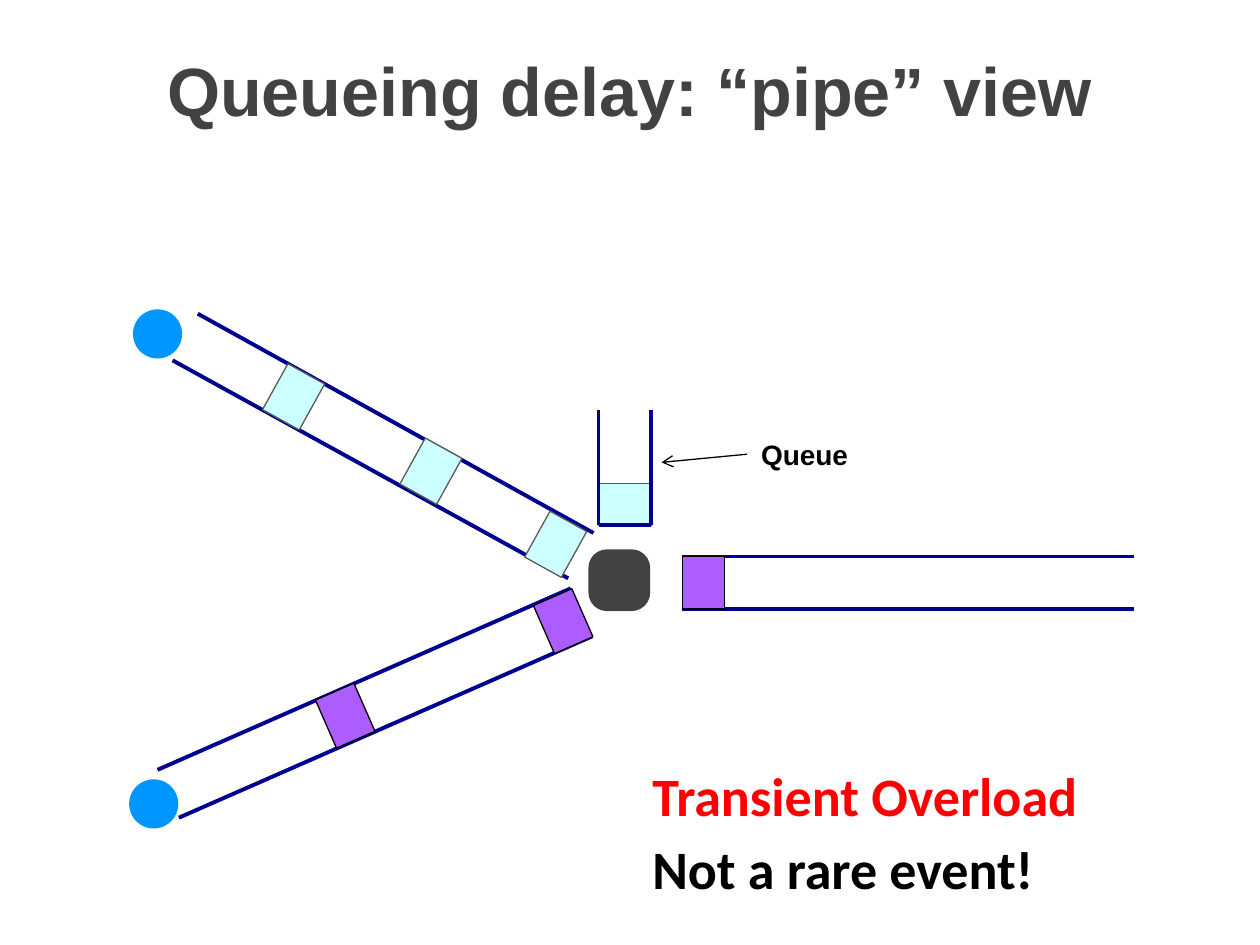
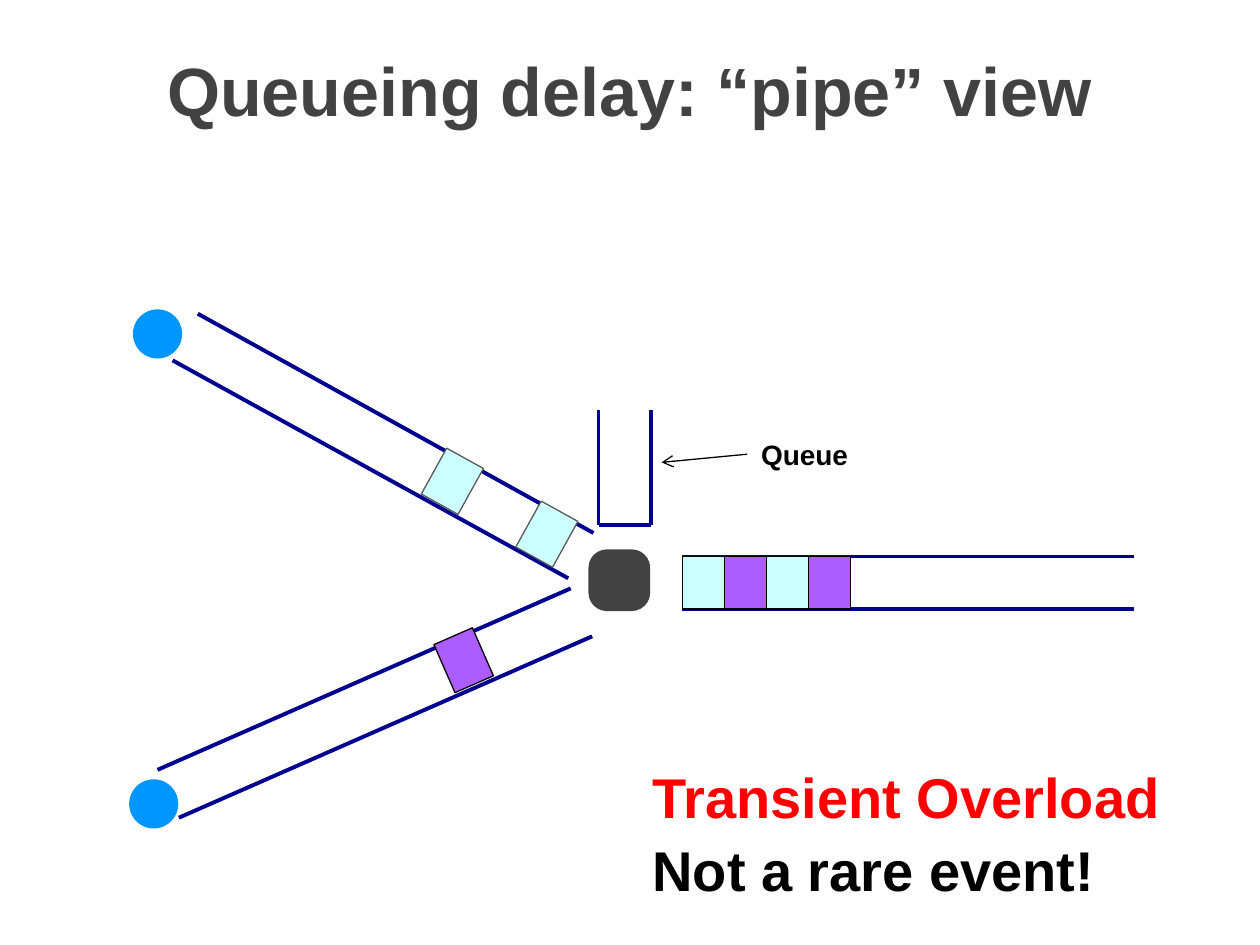
import math

import pptx
import pptx.dml.color
import pptx.enum.shapes
import pptx.enum.text
import pptx.oxml.ns
import pptx.util
from lxml import etree

RGBColor = pptx.dml.color.RGBColor
SHAPES = pptx.enum.shapes.MSO_SHAPE
ALIGN = pptx.enum.text.PP_ALIGN
inch, pt = pptx.util.Inches, pptx.util.Pt

NAVY = RGBColor(0x00, 0x00, 0x90)
BLUE = RGBColor(0x00, 0x96, 0xFF)
CYAN = RGBColor(0xCC, 0xFF, 0xFF)
PURPLE = RGBColor(0xAD, 0x5C, 0xFF)
CHARCOAL = RGBColor(0x42, 0x42, 0x42)
GREY = RGBColor(0x59, 0x59, 0x59)
BLACK = RGBColor(0, 0, 0)
RED = RGBColor(0xFF, 0, 0)

# Content: packet centres on each pipe, in inches
TITLE = "Queueing delay: “pipe” view"
MESSAGES = [("Transient Overload", RED), ("Not a rare event!", BLACK)]
SLIDES = [
    {"upper": [(4.41, 4.32), (3.42, 3.74), (2.33, 3.15)],
     "lower": [(2.74, 5.68), (4.47, 4.93)],
     "queued": 1, "sent": [PURPLE], "font": "Calibri", "size": 30.9},
    {"upper": [(4.34, 4.24), (3.59, 3.82)],
     "lower": [(3.68, 5.24)],
     "queued": 0, "sent": [CYAN, PURPLE, CYAN, PURPLE], "font": "Arial", "size": 32},
]

# Grid: twelve units to the inch; a packet is 4 by 5 units
UNIT = 1 / 12
PACKET_LENGTH, PACKET_WIDTH = 4 * UNIT, 5 * UNIT
QUEUE_LEFT, QUEUE_TOP, QUEUE_BOTTOM = 57 * UNIT, 39 * UNIT, 50 * UNIT
QUEUE_RIGHT = QUEUE_LEFT + PACKET_WIDTH
LINK_LEFT, LINK_TOP, LINK_RIGHT = 65 * UNIT, 53 * UNIT, 9

# Each pipe: two parallel walls as (start, end)
UPPER_PIPE = [((1.57, 2.49), (4.71, 4.23)), ((1.37, 2.86), (4.51, 4.59))]
LOWER_PIPE = [((1.25, 6.11), (4.53, 4.67)), ((1.42, 6.49), (4.70, 5.05))]
QUEUE_WALLS = [((QUEUE_LEFT, QUEUE_TOP), (QUEUE_LEFT, QUEUE_BOTTOM)),
               ((QUEUE_RIGHT, QUEUE_TOP), (QUEUE_RIGHT, QUEUE_BOTTOM)),
               ((QUEUE_LEFT, QUEUE_BOTTOM), (QUEUE_RIGHT, QUEUE_BOTTOM))]
LINK_WALLS = [((LINK_LEFT, y), (LINK_RIGHT, y))
              for y in (LINK_TOP, LINK_TOP + PACKET_WIDTH)]
HOSTS = [(1.25, 2.65), (1.22, 6.38)]
HOST_SIZE, ROUTER_SIZE = 0.39, 0.49
ROUTER = (4.915, 4.605)


def add_line(page, start, end, color=NAVY, width=2.25):
    line = page.shapes.add_connector(pptx.enum.shapes.MSO_CONNECTOR.STRAIGHT,
                                     *map(inch, start + end))
    line.line.color.rgb = color
    line.line.width = pt(width)
    etree.SubElement(line._element.spPr, pptx.oxml.ns.qn("a:effectLst"))
    return line


def add_walls(page, walls):
    for start, end in walls:
        add_line(page, start, end)


def add_centred(page, kind, centre, size, fill, outline=None, width=0.75, rotation=0):
    x, y = centre
    w, h = size
    shape = page.shapes.add_shape(kind, inch(x - w / 2), inch(y - h / 2), inch(w), inch(h))
    shape.shadow.inherit = False
    shape.rotation = rotation
    shape.fill.solid()
    shape.fill.fore_color.rgb = fill
    if outline is None:
        shape.line.fill.background()
    else:
        shape.line.color.rgb = outline
        shape.line.width = pt(width)
    return shape


def add_packet(page, centre, fill, outline, rotation=0, width=0.75):
    add_centred(page, SHAPES.RECTANGLE, centre, (PACKET_LENGTH, PACKET_WIDTH),
                fill, outline, width, rotation)


def add_sloped_pipe(page, walls, centres, fill, outline):
    add_walls(page, walls)
    (x1, y1), (x2, y2) = walls[0]
    slope = math.degrees(math.atan2(y2 - y1, x2 - x1))
    for centre in centres:
        add_packet(page, centre, fill, outline, slope)


def add_text(page, place, text, font, size, color, align=ALIGN.LEFT, wrap=True):
    box = page.shapes.add_textbox(*map(inch, place))
    box.text_frame.word_wrap = wrap
    para = box.text_frame.paragraphs[0]
    para.text = text
    para.alignment = align
    style_text(para, font, size, color)
    return box


def style_text(para, font, size, color):
    para.font.name, para.font.size, para.font.bold = font, pt(size), True
    para.font.color.rgb = color


def add_title(page):
    title = page.shapes.title
    title.left, title.top, title.width, title.height = map(inch, (0, 0.13, 10, 0.95))
    title.text_frame.text = TITLE
    title.text_frame.auto_size = pptx.enum.text.MSO_AUTO_SIZE.NONE
    title.text_frame.vertical_anchor = pptx.enum.text.MSO_ANCHOR.BOTTOM
    para = title.text_frame.paragraphs[0]
    para.alignment = ALIGN.CENTER
    style_text(para, "Arial", 39, CHARCOAL)


def add_queue(page, queued):
    for level in range(queued):
        centre = ((QUEUE_LEFT + QUEUE_RIGHT) / 2,
                  QUEUE_BOTTOM - (level + 0.5) * PACKET_LENGTH)
        add_packet(page, centre, CYAN, GREY, 90, 0.5)
    add_walls(page, QUEUE_WALLS)
    label = add_text(page, (5.93, 3.42, 0.9, 0.37), "Queue", "Arial", 16, BLACK,
                     ALIGN.RIGHT, False)
    arrow = add_line(page, (5.93, 3.6), (5.25, 3.67), BLACK, 0.75)
    arrow.begin_connect(label, 1)
    etree.SubElement(arrow.line._get_or_add_ln(), pptx.oxml.ns.qn("a:tailEnd"), type="arrow")


def build_page(deck, state):
    page = deck.slides.add_slide(deck.slide_layouts[5])
    add_title(page)

    # Incoming pipes and queue
    add_sloped_pipe(page, UPPER_PIPE, state["upper"], CYAN, GREY)
    add_sloped_pipe(page, LOWER_PIPE, state["lower"], PURPLE, BLACK)
    add_queue(page, state["queued"])

    # Outgoing link
    add_walls(page, LINK_WALLS)
    for slot, color in enumerate(state["sent"]):
        centre = (LINK_LEFT + (slot + 0.5) * PACKET_LENGTH, LINK_TOP + PACKET_WIDTH / 2)
        add_packet(page, centre, color, BLACK)

    # Hosts and router
    for host in HOSTS:
        add_centred(page, SHAPES.OVAL, host, (HOST_SIZE, HOST_SIZE), BLUE)
    router = add_centred(page, SHAPES.ROUNDED_RECTANGLE, ROUTER,
                         (ROUTER_SIZE, ROUTER_SIZE), CHARCOAL)
    router.adjustments[0] = 0.3

    # Messages
    for row, (text, color) in enumerate(MESSAGES):
        add_text(page, (5.08, 6 + row * 0.58, 4.67, 0.63), text,
                 state["font"], state["size"], color)


def main():
    deck = pptx.Presentation()
    deck.slide_width, deck.slide_height = inch(10), inch(7.5)
    for state in SLIDES:
        build_page(deck, state)
    deck.save("out.pptx")


if __name__ == "__main__":
    main()
